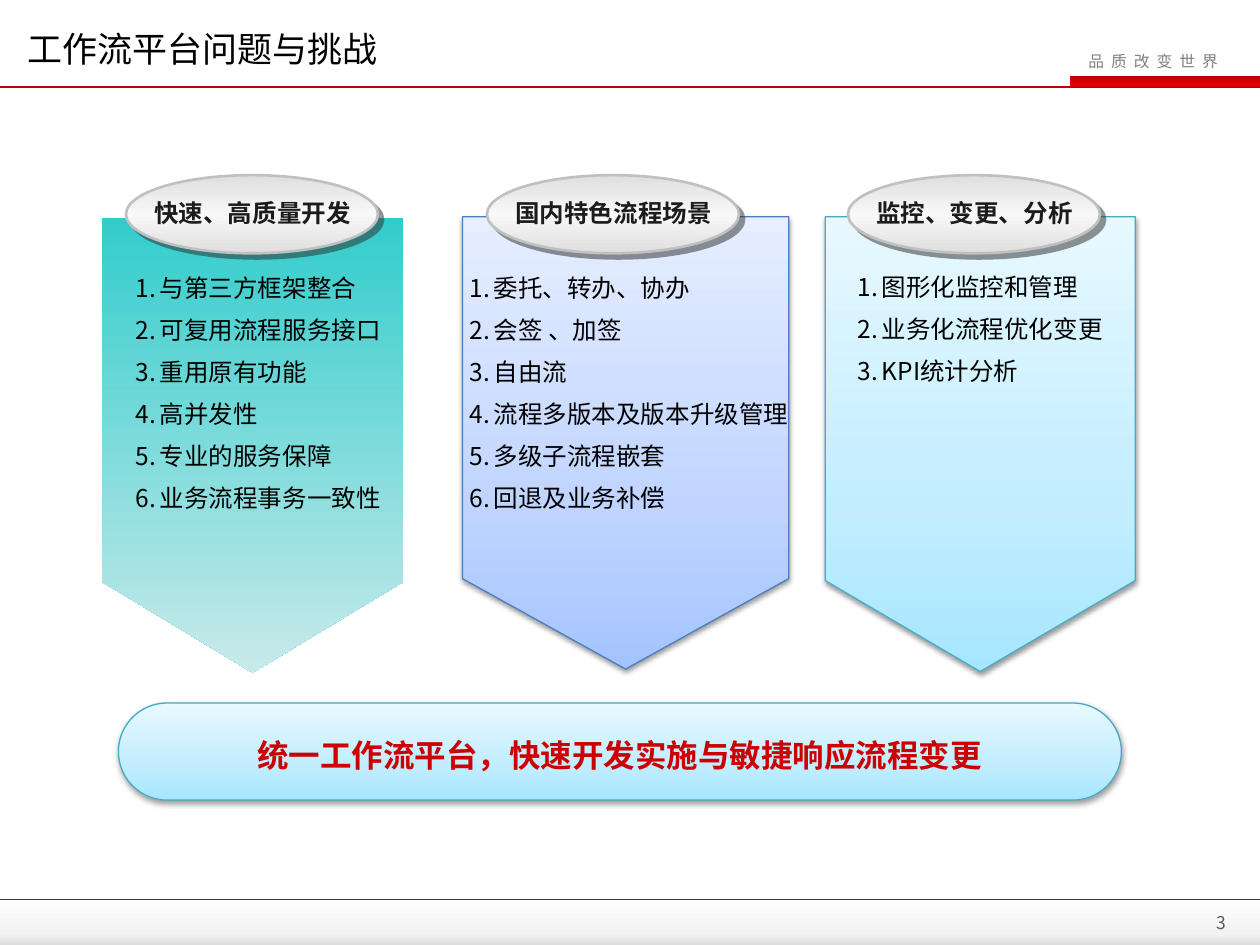
from dataclasses import dataclass
from pptx import Presentation
from pptx.dml.color import RGBColor as Rgb
from pptx.enum.shapes import MSO_CONNECTOR as Link, MSO_SHAPE as Form
from pptx.enum.text import MSO_ANCHOR as Anchor, PP_ALIGN as Align
from pptx.oxml.ns import qn
from pptx.oxml.xmlchemy import OxmlElement as Node
from pptx.util import Inches, Pt

CELL = 0.1
COLS, ROWS = 100, 75


@dataclass(frozen=True)
class Theme:
    font: str = "Noto Sans CJK SC"
    black: str = "000000"
    red: str = "C00000"
    alert: str = "CC0000"
    dark: str = "1C1C1C"
    gray: str = "808080"
    slate: str = "595959"
    silver: str = "C0C0C0"
    aqua: str = "46AAC5"
    blue: str = "4B7EBC"
    flag: tuple = ((0, "C00000"), (100, "EE0000"))
    foot: tuple = ((0, "FFFFFF"), (75, "F2F2F2"), (100, "DCDCDC"))
    metal: tuple = ((0, "DFDFDF"), (50, "F8F8F8"), (100, "DFDFDF"))
    teal: tuple = ((0, "33CCCC"), (100, "C8EAEA"))
    sky: tuple = ((0, "E6EEFF"), (65, "BFD4FF"), (100, "A4C4FF"))
    ice: tuple = ((0, "E7F8FF"), (65, "C1EDFF"), (100, "A7E6FF"))
    hard: tuple = ("292929", 50, 0, 4.2, 45)
    soft: tuple = ("000000", 38, 3.1, 1.6, 90)
    tiny: int = 9
    small: int = 10
    body: int = 14
    lead: int = 18
    head: int = 20


def grid(*cells):
    return [Inches(cell * CELL) for cell in cells]


def child(base, tag, **attrs):
    node = Node(tag)
    for key, value in attrs.items():
        node.set(key, str(value))
    base.append(node)
    return node


def tint(base, color):
    return child(base, "a:srgbClr", val=color)


class Deck:
    def __init__(self, theme):
        self.theme = theme
        self.file = Presentation()
        self.file.slide_width, self.file.slide_height = grid(COLS, ROWS)
        self.slide = self.file.slides.add_slide(self.file.slide_layouts[6])

    def shape(self, form, box, stops, edge=None, width=0.75, shade=None):
        item = self.slide.shapes.add_shape(form, *grid(*box))
        item.shadow.inherit = False
        item.fill.gradient()
        item.fill.gradient_angle = 270
        props = item._element.spPr
        ramp = props.find(qn("a:gradFill")).find(qn("a:gsLst"))
        for stop in list(ramp):
            ramp.remove(stop)
        for place, color in stops:
            tint(child(ramp, "a:gs", pos=place * 1000), color)
        if edge:
            item.line.color.rgb = Rgb.from_string(edge)
            item.line.width = Pt(width)
        else:
            item.line.fill.background()
        if shade:
            color, alpha, blur, dist, angle = shade
            cast = child(props.find(qn("a:effectLst")), "a:outerShdw",
                         blurRad=Pt(blur), dist=Pt(dist),
                         dir=angle * 60000, rotWithShape=0)
            child(tint(cast, color), "a:alpha", val=alpha * 1000)
        return item

    def rule(self, row, width):
        line = self.slide.shapes.add_connector(
            Link.STRAIGHT, *grid(0, row, COLS, row))
        line.line.color.rgb = Rgb.from_string(self.theme.red)
        line.line.width = Pt(width)
        child(line._element.spPr, "a:effectLst")

    def text(self, box, lines, size, color, bold=False, align=Align.LEFT,
             wrap=True, pitch=None, count=False, track=0, anchor=Anchor.TOP):
        frame = self.slide.shapes.add_textbox(*grid(*box)).text_frame
        frame.word_wrap = wrap
        frame.vertical_anchor = anchor
        for i, words in enumerate(lines):
            para = frame.add_paragraph() if i else frame.paragraphs[0]
            para.alignment = align
            if pitch:
                para.line_spacing = Pt(pitch)
            if count:
                props = para._p.get_or_add_pPr()
                props.set("marL", str(Inches(0.19)))
                props.set("indent", str(Inches(-0.19)))
                child(props, "a:buAutoNum", type="arabicPeriod")
            run = para.add_run()
            run.text = words
            font = run.font
            font.name = self.theme.font
            font.size = Pt(size)
            font.bold = bold
            font.color.rgb = Rgb.from_string(color)
            marks = run._r.get_or_add_rPr()
            child(marks, "a:ea", typeface=self.theme.font)
            if track:
                marks.set("spc", str(track))

    def panel(self, left, name, box, stops, edge, shade, items, area):
        look = self.theme
        self.shape(Form.FLOWCHART_OFFPAGE_CONNECTOR, box, stops, edge,
                   shade=shade)
        self.shape(Form.OVAL, (left, 13.9, 20, 6.2), look.metal,
                   look.silver, 1.5, look.hard)
        self.text((left + 1.2, 15.2, 17.7, 3.4), [name], look.body,
                  look.dark, True, Align.CENTER, wrap=False)
        self.text(area, items, look.body, look.black, pitch=24, count=True)


def main():
    look = Theme()
    deck = Deck(look)

    deck.shape(Form.RECTANGLE, (84.9, 6, 15.1, 0.9), look.flag)
    deck.text((85.4, 3.6, 13.6, 2.5), ["品 质 改 变 世 界"], look.tiny,
              look.gray, wrap=False, track=100)
    deck.rule(6.9, 1.5)
    deck.shape(Form.RECTANGLE, (0, 71.4, COLS, ROWS - 71.4), look.foot)
    deck.rule(71.4, 1)
    deck.text((86.5, 72, 11.8, 2.5), ["3"], look.small, look.slate,
              align=Align.RIGHT, anchor=Anchor.MIDDLE)
    deck.text((1.2, 1.3, 71, 3.8), ["工作流平台问题与挑战"], look.head,
              look.black, pitch=27)

    panels = [
        ("快速、高质量开发", (8.1, 17.3, 23.9, 36.1), look.teal, None, None,
         ["与第三方框架整合", "可复用流程服务接口", "重用原有功能",
          "高并发性", "专业的服务保障", "业务流程事务一致性"],
         (9.8, 20.2, 23, 21.2)),
        ("国内特色流程场景", (36.7, 17.2, 25.9, 35.9), look.sky, look.blue,
         look.soft,
         ["委托、转办、协办", "会签 、加签", "自由流",
          "流程多版本及版本升级管理", "多级子流程嵌套", "回退及业务补偿"],
         (36.3, 20.2, 28.3, 23.2)),
        ("监控、变更、分析", (65.5, 17.2, 24.6, 36.1), look.ice, look.aqua,
         look.soft,
         ["图形化监控和管理", "业务化流程优化变更", "KPI统计分析"],
         (67.1, 20.1, 23, 17.8)),
    ]
    for i, panel in enumerate(panels):
        deck.panel(10 + 28.65 * i, *panel)

    pill = deck.shape(Form.ROUNDED_RECTANGLE, (9.4, 55.8, 79.6, 7.7),
                      look.ice, look.aqua, shade=look.soft)
    pill.adjustments[0] = 0.5
    deck.text((16.8, 57.9, 64.7, 4),
              ["统一工作流平台，快速开发实施与敏捷响应流程变更"],
              look.lead, look.alert, True, Align.CENTER)

    deck.file.save("out.pptx")


if __name__ == "__main__":
    main()
